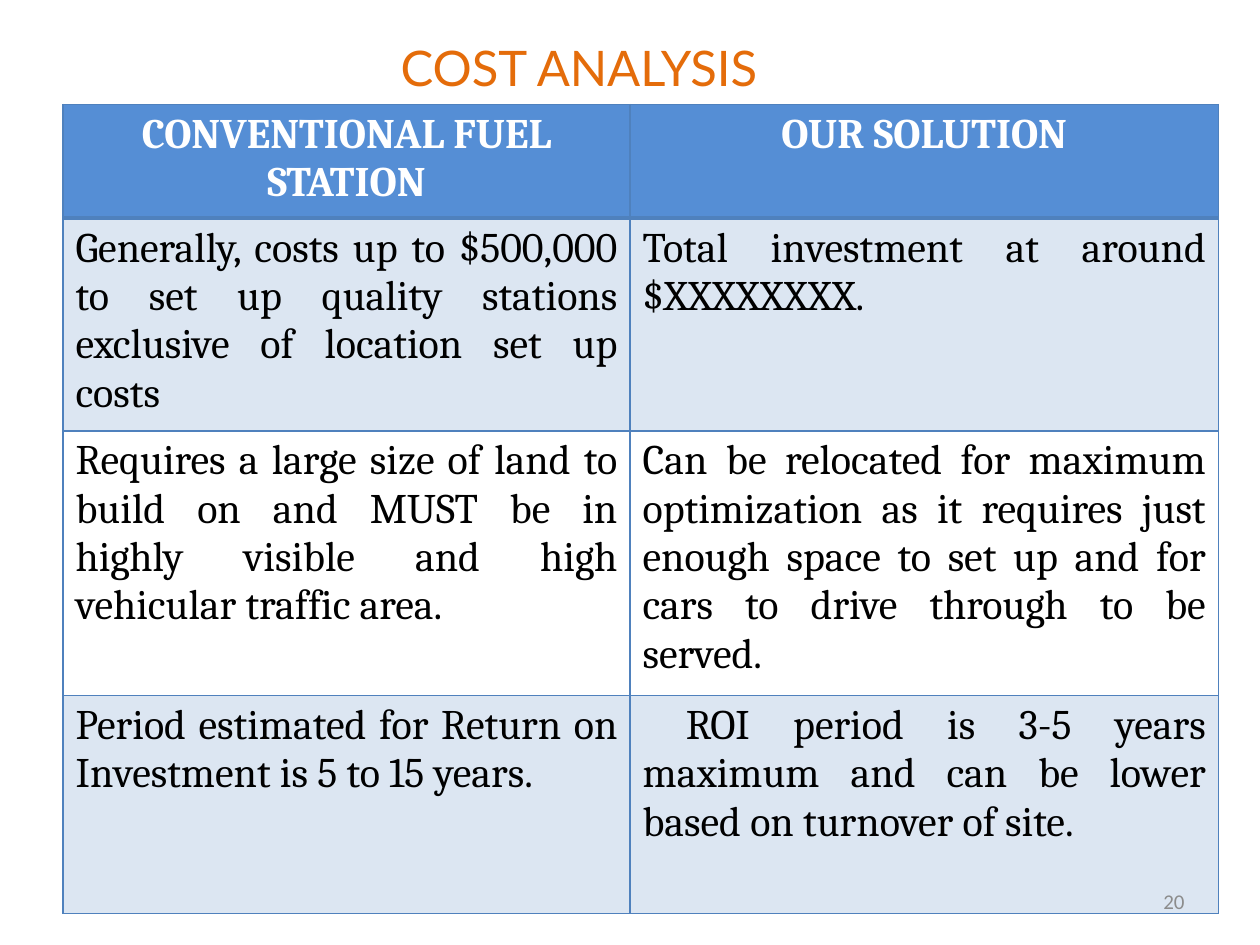
import pptx
import pptx.dml.color
import pptx.enum.text
import pptx.oxml
import pptx.oxml.ns
import pptx.util
from pptx.util import Inches

ALIGN = pptx.enum.text.PP_ALIGN
ANCHOR = pptx.enum.text.MSO_ANCHOR
COLORS = {
    "title": "E46C0A",
    "header": "558ED5",
    "band": "DCE6F2",
    "border": "4F81BD",
    "white": "FFFFFF",
    "black": "000000",
    "number": "8C8C8C",
}
COLUMN_WIDTHS = [4.5, 4.67]
ROW_HEIGHTS = [0.9, 1.69, 2.1, 1.73]
ROWS = [
    ["CONVENTIONAL FUEL STATION", "OUR SOLUTION"],
    ["Generally, costs up to $500,000 to set up quality stations exclusive of location set up costs",
     "Total investment at around $XXXXXXXX."],
    ["Requires a large size of land to build on and MUST be in highly visible and high vehicular traffic area.",
     "Can be relocated for maximum optimization as it requires just enough space to set up and for cars "
     "to drive through to be served."],
    ["Period estimated for Return on Investment is 5 to 15 years.",
     " ROI period is 3-5 years maximum and can be lower based on turnover of site."],
]


def rgb(name):
    return pptx.dml.color.RGBColor.from_string(COLORS[name])


def write_text(text_frame, text, *, font, size, color, bold=False, align=ALIGN.LEFT):
    paragraph = text_frame.paragraphs[0]
    paragraph.alignment = align
    run = paragraph.add_run()
    run.text = text
    run.font.name = font
    run.font.size = pptx.util.Pt(size)
    run.font.bold = bold
    run.font.color.rgb = rgb(color)


def place(shape, left, top, width, height):
    shape.left, shape.top = Inches(left), Inches(top)
    shape.width, shape.height = Inches(width), Inches(height)


def set_borders(cell, bottom_width):
    """Outline a cell in 1 pt lines, with its own width for the bottom line."""
    properties = cell._tc.get_or_add_tcPr()
    widths = {"lnL": 1, "lnR": 1, "lnT": 1, "lnB": bottom_width}
    for position, (tag, width) in enumerate(widths.items()):
        line = pptx.oxml.parse_xml(
            f'<a:{tag} {pptx.oxml.ns.nsdecls("a")} w="{pptx.util.Pt(width)}">'
            f'<a:solidFill><a:srgbClr val="{COLORS["border"]}"/></a:solidFill></a:{tag}>')
        properties.insert(position, line)


def add_title(slide):
    title = slide.shapes.title
    place(title, 3.08, 0.25, 3.84, 0.57)
    title.text_frame.word_wrap = False
    title.text_frame.vertical_anchor = ANCHOR.TOP
    write_text(title.text_frame, "COST ANALYSIS", font="Lato", size=28, color="title")


def add_comparison_table(slide):
    table = slide.shapes.add_table(
        len(ROWS), len(COLUMN_WIDTHS), Inches(0.5), Inches(0.83),
        Inches(sum(COLUMN_WIDTHS)), Inches(sum(ROW_HEIGHTS))).table
    table.horz_banding = False
    for column, width in zip(table.columns, COLUMN_WIDTHS):
        column.width = Inches(width)
    for row_index, (row, height, texts) in enumerate(zip(table.rows, ROW_HEIGHTS, ROWS)):
        row.height = Inches(height)
        is_header = row_index == 0
        for cell, text in zip(row.cells, texts):
            if row_index == 2:
                cell.fill.background()
            else:
                cell.fill.solid()
                cell.fill.fore_color.rgb = rgb("header" if is_header else "band")
            set_borders(cell, bottom_width=2 if is_header else 1)
            write_text(cell.text_frame, text, font="Cambria", size=24, bold=is_header,
                       color="white" if is_header else "black",
                       align=ALIGN.CENTER if is_header else ALIGN.JUSTIFY)


def add_slide_number(slide):
    box = slide.shapes.add_textbox(Inches(7.17), Inches(6.95), Inches(2.33), Inches(0.4))
    box.text_frame.word_wrap = True
    box.text_frame.vertical_anchor = ANCHOR.MIDDLE
    write_text(box.text_frame, "20", font="Calibri", size=12, color="number", align=ALIGN.RIGHT)


def main():
    presentation = pptx.Presentation()
    presentation.slide_width, presentation.slide_height = Inches(10), Inches(7.5)
    slide = presentation.slides.add_slide(presentation.slide_layouts.get_by_name("Title Only"))
    add_title(slide)
    add_comparison_table(slide)
    add_slide_number(slide)
    presentation.save("out.pptx")


if __name__ == "__main__":
    main()
